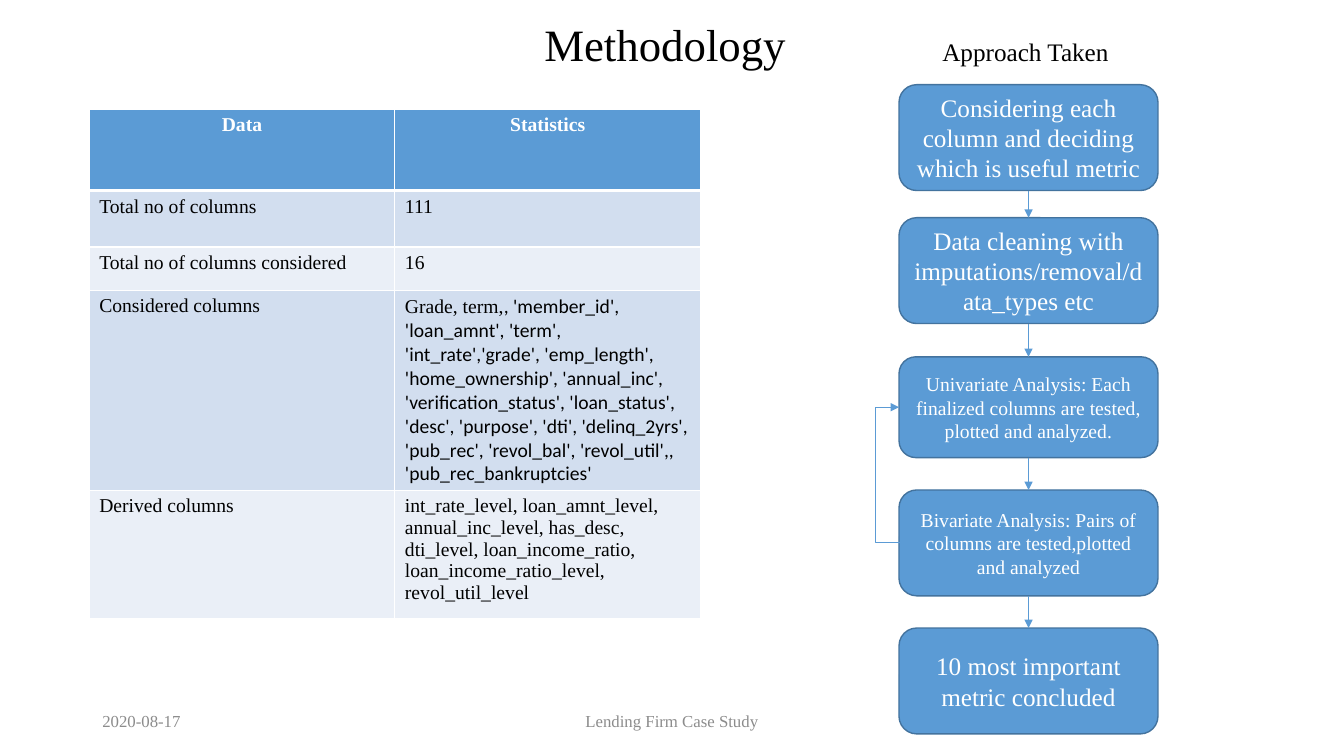
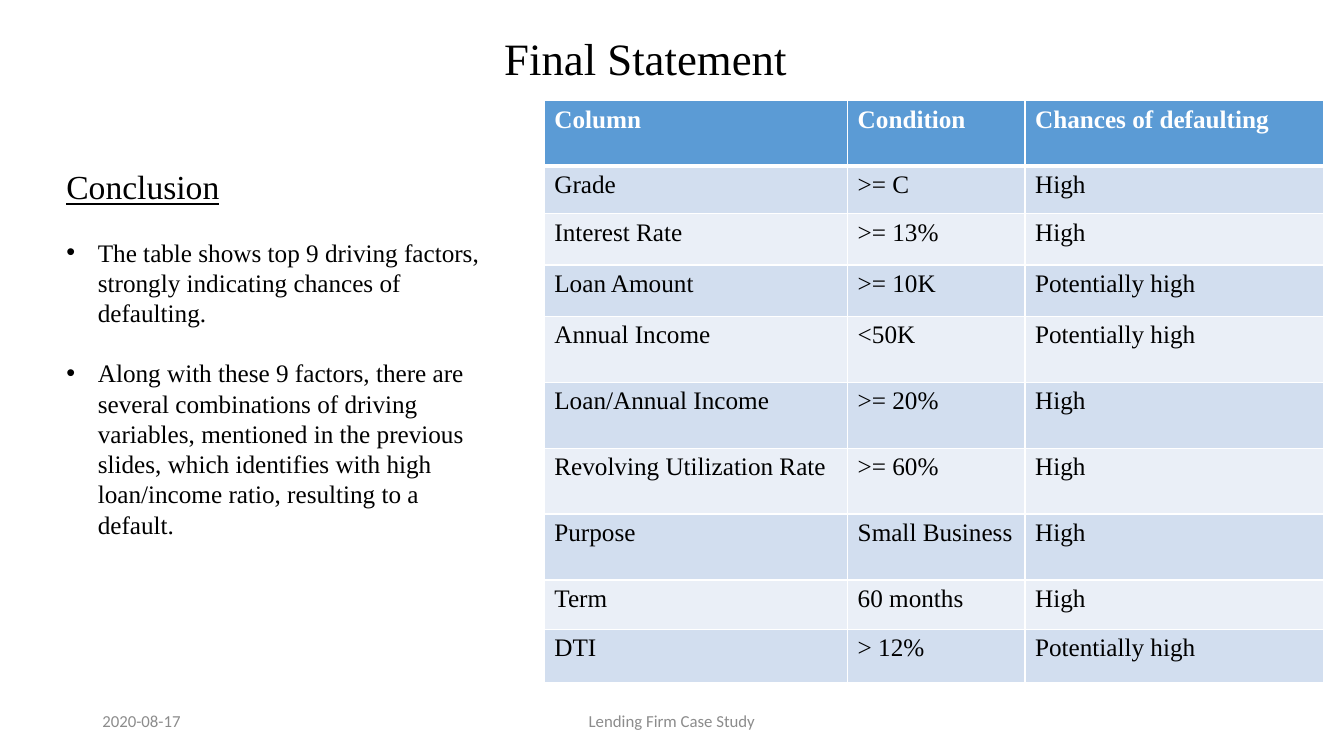
import dataclasses

import lxml.etree
import pptx
import pptx.dml.color
import pptx.enum.shapes
import pptx.enum.text
import pptx.oxml
import pptx.oxml.ns
import pptx.util

Pt = pptx.util.Pt
ALIGN = pptx.enum.text.PP_ALIGN
ANCHOR = pptx.enum.text.MSO_ANCHOR
SHAPE = pptx.enum.shapes.MSO_SHAPE
CONNECTOR = pptx.enum.shapes.MSO_CONNECTOR


@dataclasses.dataclass(frozen=True)
class Theme:
    serif: str = "Times New Roman"
    sans: str = "Calibri"
    accent: str = "5B9BD5"
    outline: str = "43739E"
    band_dark: str = "D2DEEF"
    band_light: str = "EAEFF7"
    ink: str = "000000"
    white: str = "FFFFFF"
    muted: str = "8C8C8C"
    title: int = 32
    heading: int = 24
    body: int = 18
    small: int = 14
    footer: int = 12


THEME = Theme()
BOTTOM, LEFT, TOP = 2, 1, 0  # connection sites

# Content
COLUMN_STATS = [
    ("Data", "Statistics"),
    ("Total no of columns", "111"),
    ("Total no of columns considered", "16"),
    ("Considered columns", "Grade, term,"),
    ("Derived columns",
     "int_rate_level, loan_amnt_level,\nannual_inc_level, has_desc,\n"
     "dti_level, loan_income_ratio, loan_income_ratio_level, revol_util_level"),
]
CONSIDERED = (
    ", 'member_id', 'loan_amnt', 'term', 'int_rate','grade', 'emp_length', "
    "'home_ownership', 'annual_inc', 'verification_status', 'loan_status', "
    "'desc', 'purpose', 'dti', 'delinq_2yrs', 'pub_rec', 'revol_bal', "
    "'revol_util',, 'pub_rec_bankruptcies'")
STEPS = [  # top, height, type size, text
    (60.5, 75.6, THEME.body, "Considering each column and deciding which is useful metric"),
    (155.5, 75.6, THEME.body, "Data cleaning with imputations/removal/data_types etc"),
    (254.9, 72, THEME.small,
     "Univariate Analysis: Each finalized columns are tested, plotted and analyzed."),
    (350, 75.6, THEME.small,
     "Bivariate Analysis: Pairs of columns are tested,plotted and analyzed"),
    (448.6, 75.6, THEME.body, "10 most important metric concluded"),
]
FACTORS = [
    ("Column", "Condition", "Chances of defaulting"),
    ("Grade", ">= C", "High"),
    ("Interest Rate", ">= 13%", "High"),
    ("Loan Amount", ">= 10K", "Potentially high"),
    ("Annual Income", "<50K", "Potentially high"),
    ("Loan/Annual Income", ">= 20%", "High"),
    ("Revolving Utilization Rate", ">= 60%", "High"),
    ("Purpose", "Small Business", "High"),
    ("Term", "60 months", "High"),
    ("DTI", "> 12%", "Potentially high"),
]
CONCLUSIONS = [
    "The table shows top 9 driving factors, strongly indicating chances of defaulting.",
    "Along with these 9 factors, there are several combinations of driving variables, "
    "mentioned in the previous slides, which identifies with high loan/income ratio, "
    "resulting to a default.",
]


def rgb(value):
    return pptx.dml.color.RGBColor.from_string(value)


def style(para, size, color=THEME.ink, face=THEME.serif, align=ALIGN.LEFT, bold=False):
    para.alignment = align
    font = para.font
    font.size, font.name, font.bold = Pt(size), face, bold
    font.color.rgb = rgb(color)


def add_text(page, at, text, size, anchor=ANCHOR.TOP, **look):
    box = page.shapes.add_textbox(*map(Pt, at))
    frame = box.text_frame
    frame.word_wrap = True
    frame.vertical_anchor = anchor
    frame.text = text
    style(frame.paragraphs[0], size, **look)
    return frame


def add_page(deck, title, at, align, anchor, footer_face):
    page = deck.slides.add_slide(deck.slide_layouts[5])
    # Title
    box = page.shapes.title
    box.left, box.top, box.width, box.height = map(Pt, at)
    frame = box.text_frame
    frame.text = title
    frame.auto_size = pptx.enum.text.MSO_AUTO_SIZE.NONE
    frame.vertical_anchor = anchor
    style(frame.paragraphs[0], THEME.title, align=align)
    # Footer
    for left, width, text, side in [
            (66, 216, "2020-08-17", ALIGN.LEFT),
            (318, 324, "Lending Firm Case Study", ALIGN.CENTER)]:
        add_text(page, (left, 500.5, width, 28.8), text, THEME.footer, ANCHOR.MIDDLE,
                 color=THEME.muted, face=footer_face, align=side)
    return page


def set_border(cell, side, width):
    line = pptx.oxml.parse_xml(
        f'<a:{side} {pptx.oxml.ns.nsdecls("a")} w="{Pt(width)}"><a:solidFill>'
        f'<a:srgbClr val="{THEME.white}"/></a:solidFill></a:{side}>')
    return line


def add_table(page, left, top, widths, heights, rows, size, header_align):
    frame = page.shapes.add_table(len(rows), len(widths), Pt(left), Pt(top),
                                  Pt(sum(widths)), Pt(sum(heights)))
    table = frame.table
    for column, width in zip(table.columns, widths):
        column.width = Pt(width)
    for number, (row, height, texts) in enumerate(zip(table.rows, heights, rows)):
        row.height = Pt(height)
        header = number == 0
        band = THEME.band_dark if number % 2 else THEME.band_light
        for cell, text in zip(row.cells, texts):
            cell.text = text
            for para in cell.text_frame.paragraphs:
                style(para, size, THEME.white if header else THEME.ink, bold=header,
                      align=header_align if header else ALIGN.LEFT)
            borders = [set_border(cell, side, width) for side, width in [
                ("lnL", 1), ("lnR", 1), ("lnT", 3 if number == 1 else 1),
                ("lnB", 3 if header else 1)]]
            cell.fill.solid()
            cell.fill.fore_color.rgb = rgb(THEME.accent if header else band)
            for position, border in enumerate(borders):
                cell._tc.get_or_add_tcPr().insert(position, border)
    return table


def add_step(page, left, top, width, height, size, text):
    box = page.shapes.add_shape(SHAPE.ROUNDED_RECTANGLE, *map(Pt, (left, top, width, height)))
    box.shadow.inherit = False
    box.fill.solid()
    box.fill.fore_color.rgb = rgb(THEME.accent)
    box.line.color.rgb = rgb(THEME.outline)
    box.line.width = Pt(1)
    frame = box.text_frame
    frame.word_wrap = True
    frame.vertical_anchor = ANCHOR.MIDDLE
    frame.text = text
    style(frame.paragraphs[0], size, THEME.white, align=ALIGN.CENTER)
    return box


def add_arrow(page, kind, start=(0, 0), end=(0, 0)):
    arrow = page.shapes.add_connector(kind, *map(Pt, start + end))
    arrow.line.color.rgb = rgb(THEME.accent)
    arrow.line.width = Pt(0.5)
    qn = pptx.oxml.ns.qn
    lxml.etree.SubElement(arrow.line._get_or_add_ln(), qn("a:tailEnd"), type="triangle")
    lxml.etree.SubElement(arrow._element.spPr, qn("a:effectLst"))
    return arrow


def add_bullet(frame, text, gap, indent):
    para = frame.add_paragraph()
    para.text = text
    para.space_before = Pt(gap)
    props = para._p.get_or_add_pPr()
    props.set("marL", str(Pt(indent)))
    props.set("indent", str(-Pt(indent)))
    qn = pptx.oxml.ns.qn
    lxml.etree.SubElement(props, qn("a:buFont"), typeface="Arial")
    lxml.etree.SubElement(props, qn("a:buChar"), char="•")
    style(para, THEME.body)


def build_methodology(deck):
    page = add_page(deck, "Methodology", (381.6, 8, 262, 46), ALIGN.LEFT, ANCHOR.TOP,
                    THEME.serif)
    table = add_table(page, 63.7, 77.8, [218.4] * 2, [58.3, 40.3, 31, 143, 84],
                      COLUMN_STATS, THEME.small, ALIGN.CENTER)
    names = table.cell(3, 1).text_frame.paragraphs[0].add_run()
    names.text = CONSIDERED
    names.font.name = THEME.sans

    # Flow of steps
    left, width = 642.2, 185
    add_text(page, (666, 22.3, 137, 29), "Approach Taken", THEME.body)
    boxes = [add_step(page, left, top, width, height, size, text)
             for top, height, size, text in STEPS]
    for upper, lower in zip(boxes, boxes[1:]):
        arrow = add_arrow(page, CONNECTOR.STRAIGHT)
        arrow.begin_connect(upper, BOTTOM)
        arrow.end_connect(lower, TOP)

    # Loop from bivariate back to univariate analysis
    univariate, bivariate = [top + height / 2 for top, height, _, _ in STEPS[2:4]]
    reach = 17
    loop = add_arrow(page, CONNECTOR.ELBOW, (left + 1, bivariate), (left, univariate))
    guides = loop._element.spPr.find(pptx.oxml.ns.qn("a:prstGeom")).get_or_add_avLst()
    lxml.etree.SubElement(guides, pptx.oxml.ns.qn("a:gd"), name="adj1",
                          fmla=f"val {(reach + 1) * 100000}")


def build_final_statement(deck):
    page = add_page(deck, "Final Statement", (94.3, 10, 733.7, 67.7), ALIGN.CENTER,
                    ANCHOR.MIDDLE, THEME.sans)
    page.shapes.title.text_frame.paragraphs[0].line_spacing = 0.9
    add_table(page, 388.8, 72, [216.7, 126.7, 213.1],
              [46.8, 33.8, 36.7, 36.7] + [47.1] * 4 + [35.3, 38.2],
              FACTORS, THEME.body, ALIGN.LEFT)

    # Conclusion
    frame = add_text(page, (40.3, 115.2, 320.4, 300), "Conclusion", THEME.heading)
    frame.paragraphs[0].font.underline = True
    for text in CONCLUSIONS:
        add_bullet(frame, text, gap=21.6, indent=22.5)


def main():
    deck = pptx.Presentation()
    deck.slide_width, deck.slide_height = Pt(960), Pt(540)
    build_methodology(deck)
    build_final_statement(deck)
    deck.save("out.pptx")


if __name__ == "__main__":
    main()
